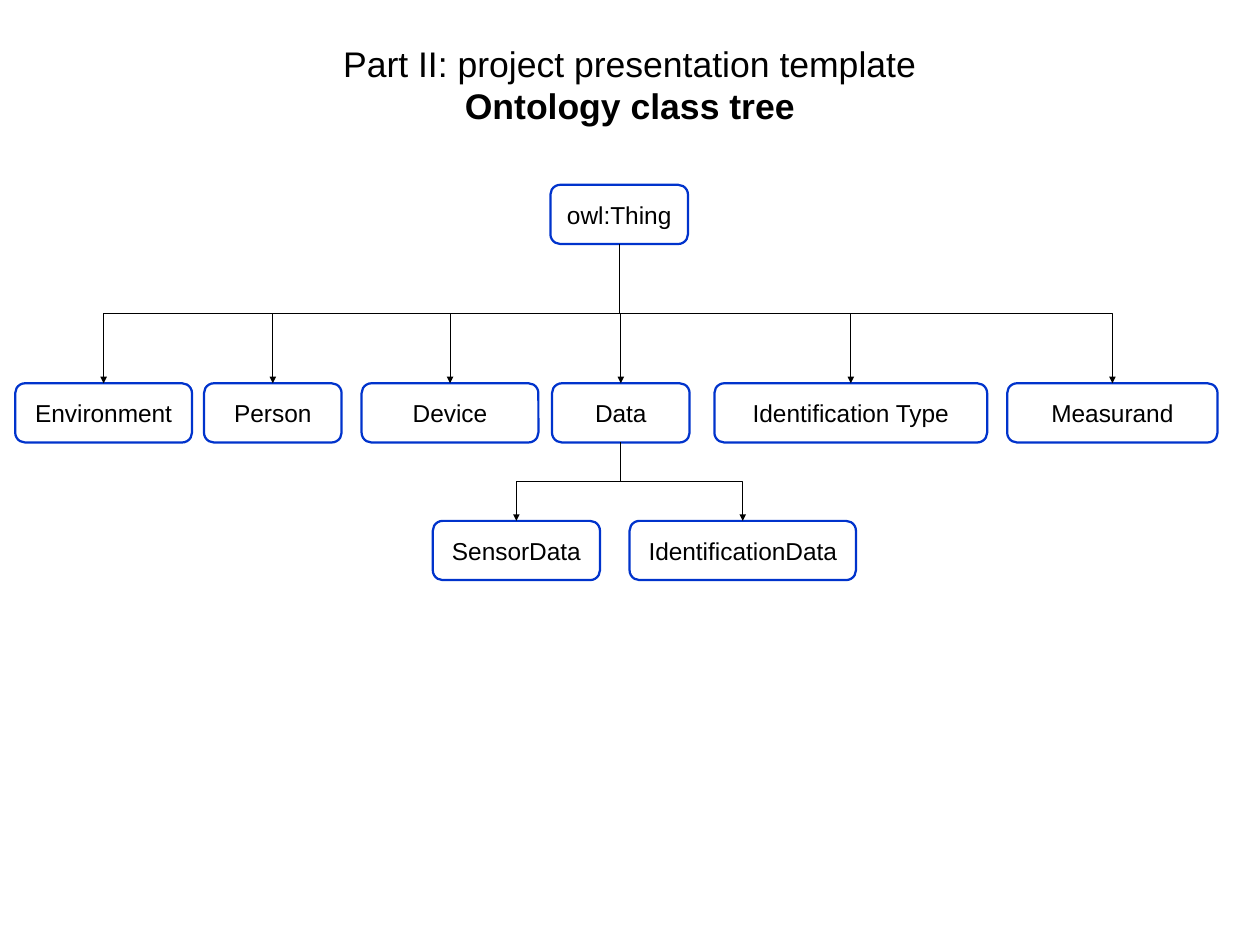
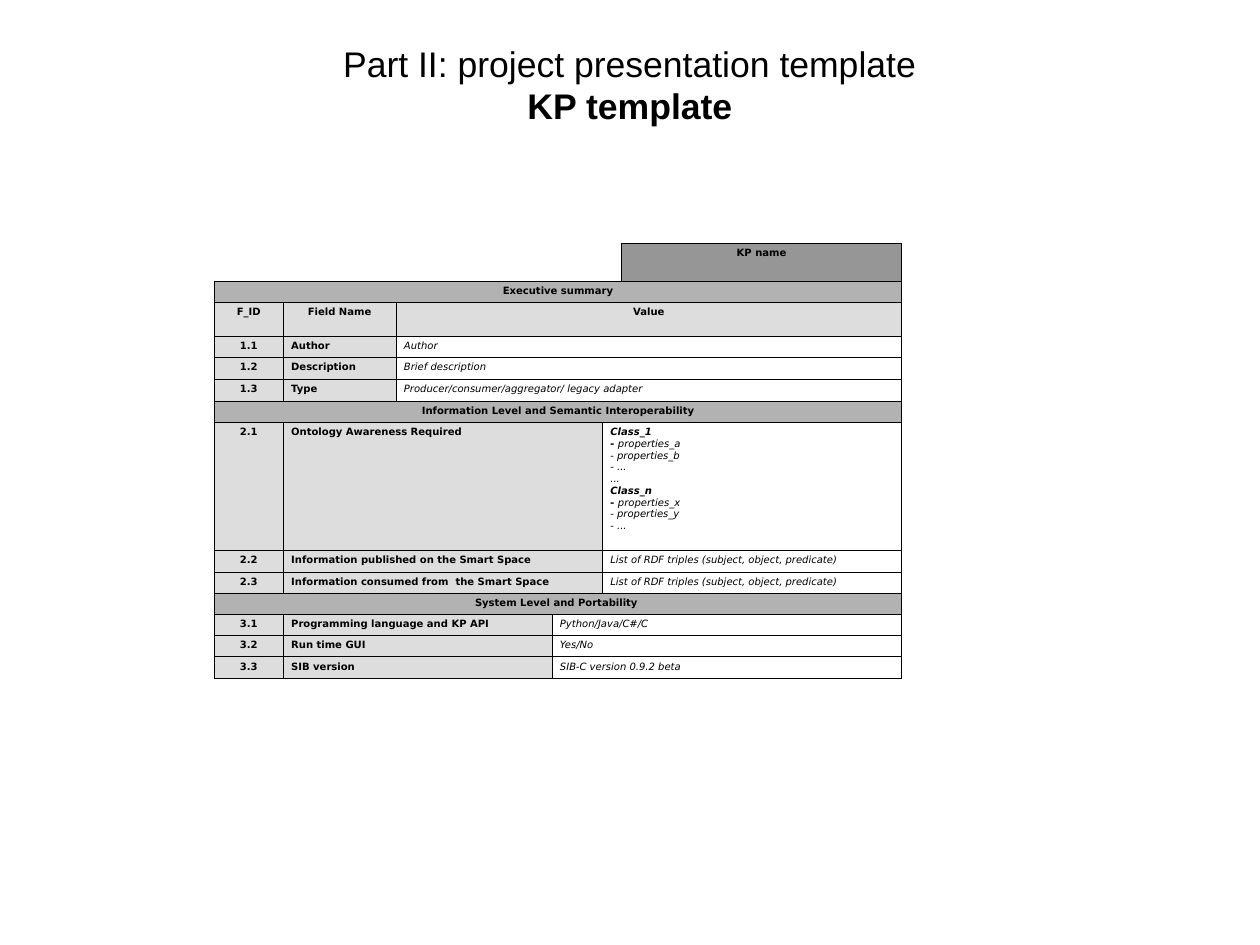
from dataclasses import dataclass
from lxml import etree
from pptx import Presentation
from pptx.dml.color import RGBColor
from pptx.enum.shapes import MSO_CONNECTOR, MSO_SHAPE
from pptx.enum.text import MSO_ANCHOR, MSO_AUTO_SIZE, PP_ALIGN
from pptx.oxml.ns import qn
from pptx.util import Inches, Pt


@dataclass(frozen=True)
class Theme:
    ink: RGBColor = RGBColor(0x00, 0x00, 0x00)
    paper: RGBColor = RGBColor(0xFF, 0xFF, 0xFF)
    box_line: RGBColor = RGBColor(0x00, 0x33, 0xCC)
    name_fill: RGBColor = RGBColor(0x96, 0x96, 0x96)
    section_fill: RGBColor = RGBColor(0xB2, 0xB2, 0xB2)
    label_fill: RGBColor = RGBColor(0xDD, 0xDD, 0xDD)
    font: str = "Arial"
    table_font: str = "DejaVu Sans"
    title_size: int = 32
    box_size: int = 22
    table_size: int = 9
    box_width: float = 2
    arrow_width: float = 0.75
    border_width: float = 0.45
    footer_width: float = 3


T = Theme()


def write(p, text, size, font=T.font, bold=False, italic=False, align=None):
    """Add one formatted run to a paragraph."""
    r = p.add_run()
    r.text = text
    r.font.size, r.font.name = Pt(size), font
    r.font.bold, r.font.italic = bold, italic
    r.font.color.rgb = T.ink
    if align is not None:
        p.alignment = align


def add_line(s, kind, x1, y1, x2, y2, color, width):
    """Add a connector without a shadow."""
    c = s.shapes.add_connector(kind, x1, y1, x2, y2)
    c.line.color.rgb, c.line.width = color, Pt(width)
    etree.SubElement(c.element.spPr, qn("a:effectLst"))
    return c


prs = Presentation()
prs.slide_width, prs.slide_height = Inches(15.75), Inches(11.81)

# Shared title style
layout = prs.slide_layouts[5]
sp = layout.placeholders[0]
sp.left, sp.top, sp.width, sp.height = [Inches(v) for v in (0.79, 0.47, 14.17, 1.97)]
sp.text_frame.vertical_anchor = MSO_ANCHOR.TOP
sp.text_frame.auto_size = MSO_AUTO_SIZE.NONE
title_font = next(prs.slide_master.element.iter(qn("p:titleStyle"))).find(".//" + qn("a:defRPr"))
title_font.set("sz", str(T.title_size * 100))
title_font.find(qn("a:latin")).set("typeface", T.font)

# Slides with their titles
slides = []
for subtitle in ("Ontology class tree", "KP template"):
    s = prs.slides.add_slide(layout)
    p = s.shapes.title.text_frame.paragraphs[0]
    write(p, "Part II: project presentation template", T.title_size, align=PP_ALIGN.CENTER)
    p.add_line_break()
    write(p, subtitle, T.title_size, bold=True)
    slides.append(s)
tree_slide, table_slide = slides

# Shared footer divider, moved to the layout
c = add_line(tree_slide, MSO_CONNECTOR.STRAIGHT, Inches(14.32), Inches(11.07),
             Inches(14.32), Inches(11.67), T.paper, T.footer_width)
c.element.nvCxnSpPr.cNvPr.set("id", "20")
layout.shapes.element.append(c.element)

# Class boxes: name, parent, left, top, width
BOX_HEIGHT = 0.74
ROOT_TOP, CLASS_TOP, SUBCLASS_TOP = 2.31, 4.79, 6.51
classes = [
    ("owl:Thing", None, 6.88, ROOT_TOP, 1.72),
    ("Environment", "owl:Thing", 0.19, CLASS_TOP, 2.21),
    ("Person", "owl:Thing", 2.55, CLASS_TOP, 1.72),
    ("Device", "owl:Thing", 4.52, CLASS_TOP, 2.21),
    ("Data", "owl:Thing", 6.9, CLASS_TOP, 1.72),
    ("Identification Type", "owl:Thing", 8.93, CLASS_TOP, 3.41),
    ("Measurand", "owl:Thing", 12.59, CLASS_TOP, 2.63),
    ("SensorData", "Data", 5.41, SUBCLASS_TOP, 2.09),
    ("IdentificationData", "Data", 7.87, SUBCLASS_TOP, 2.83),
]
boxes = {}
for name, parent, left, top, width in classes:
    sp = tree_slide.shapes.add_shape(MSO_SHAPE.ROUNDED_RECTANGLE, Inches(left), Inches(top),
                                     Inches(width), Inches(BOX_HEIGHT))
    sp.shadow.inherit = False
    sp.fill.background()
    sp.line.color.rgb, sp.line.width = T.box_line, Pt(T.box_width)
    tf = sp.text_frame
    tf.margin_left = tf.margin_right = Inches(0.16)
    tf.margin_top = tf.margin_bottom = Inches(0.08)
    tf.vertical_anchor = MSO_ANCHOR.MIDDLE
    write(tf.paragraphs[0], name, T.box_size, align=PP_ALIGN.CENTER)
    boxes[name] = sp

# Elbow arrows from parent to child, turned so that they leave downwards
for name, parent, *_ in classes:
    if parent is None:
        continue
    start, end = boxes[parent], boxes[name]
    x1, y1 = start.left + start.width // 2, start.top + start.height
    x2, y2 = end.left + end.width // 2, end.top
    c = add_line(tree_slide, MSO_CONNECTOR.ELBOW, x1, y1, x2, y2, T.ink, T.arrow_width)
    c.begin_connect(start, 2)
    c.end_connect(end, 0)
    c.width, c.height = y2 - y1, abs(x2 - x1)
    c.left, c.top = (x1 + x2 - c.width) // 2, (y1 + y2 - c.height) // 2
    xfrm = c.element.spPr.find(qn("a:xfrm"))
    xfrm.set("rot", "16200000" if x2 > x1 else "5400000")
    xfrm.set("flipH", "1" if x2 > x1 else "0")
    etree.SubElement(c.element.spPr.find(qn("a:ln")), qn("a:tailEnd"), type="triangle")

# Table rows: each cell is (columns spanned, kind, text)
ontology = ["Class_1", "- properties_a", "- properties_b", "- ...", "...",
            "Class_n", "- properties_x", "- properties_y", "- ..."]
rows = [
    [(5, "empty", ""), (1, "name", "KP name")],
    [(6, "section", "Executive summary")],
    [(1, "head", "F_ID"), (1, "head", "Field Name"), (4, "head", "Value")],
]
sections = [
    (None, 1, [("1.1", "Author", "Author"),
               ("1.2", "Description", "Brief description"),
               ("1.3", "Type", "Producer/consumer/aggregator/ legacy adapter")]),
    ("Information Level and Semantic Interoperability", 3, [
        ("2.1", "Ontology Awareness Required", "\n".join(ontology)),
        ("2.2", "Information published on the Smart Space",
         "List of RDF triples (subject, object, predicate)"),
        ("2.3", "Information consumed from  the Smart Space",
         "List of RDF triples (subject, object, predicate)")]),
    ("System Level and Portability ", 2, [
        ("3.1", "Programming language and KP API", "Python/Java/C#/C"),
        ("3.2", "Run time GUI", "Yes/No"),
        ("3.3", "SIB version", "SIB-C version 0.9.2 beta")]),
]
for heading, label_span, fields in sections:
    if heading:
        rows.append([(6, "section", heading)])
    for field_id, label, value in fields:
        rows.append([(1, "head", field_id), (label_span, "label", label),
                     (5 - label_span, "value", value)])

# Table grid
col_widths = [0.86, 1.41, 1.95, 0.63, 0.24, 3.5]
special_heights = {0: 0.47, 2: 0.42, 7: 1.6, 9: 0.26, 11: 0.26}
row_heights = [special_heights.get(i, 0.27) for i in range(len(rows))]
table = table_slide.shapes.add_table(len(rows), len(col_widths), Inches(2.68), Inches(3.04),
                                     Inches(sum(col_widths)), Inches(sum(row_heights))).table
table.first_row = table.horz_banding = False
NO_STYLE = "{2D5ABB26-0587-4C30-8999-92F81FD0307C}"
next(table._tbl.iter(qn("a:tableStyleId"))).text = NO_STYLE
for col, width in zip(table.columns, col_widths):
    col.width = Inches(width)
for row, height in zip(table.rows, row_heights):
    row.height = Inches(height)

# Table cells
fills = {"name": T.name_fill, "section": T.section_fill,
         "head": T.label_fill, "label": T.label_fill}
for i, cells in enumerate(rows):
    col = 0
    for span, kind, text in cells:
        for j in range(col, col + span):
            cell = table.cell(i, j)
            tcPr = cell._tc.get_or_add_tcPr()
            for side in "B" if kind == "empty" else "LRTB":
                ln = etree.SubElement(tcPr, qn("a:ln" + side), w=str(Pt(T.border_width)))
                fill = etree.SubElement(ln, qn("a:solidFill"))
                etree.SubElement(fill, qn("a:srgbClr"), val=str(T.ink))
            if kind in fills:
                cell.fill.solid()
                cell.fill.fore_color.rgb = fills[kind]
            else:
                cell.fill.background()
        cell = table.cell(i, col)
        if span > 1:
            cell.merge(table.cell(i, col + span - 1))
        col += span
        if kind == "empty":
            continue
        tf = cell.text_frame
        align = PP_ALIGN.LEFT if kind in ("label", "value") else PP_ALIGN.CENTER
        after_class = False
        for n, line in enumerate(text.split("\n")):
            p = tf.add_paragraph() if n else tf.paragraphs[0]
            is_class = line.startswith("Class_")
            fmt = dict(size=T.table_size, font=T.table_font, italic=kind == "value", align=align)
            if after_class:
                write(p, "- ", bold=True, **fmt)
                line = line.removeprefix("- ")
            write(p, line, bold=is_class or kind != "value", **fmt)
            after_class = is_class

prs.save("out.pptx")
